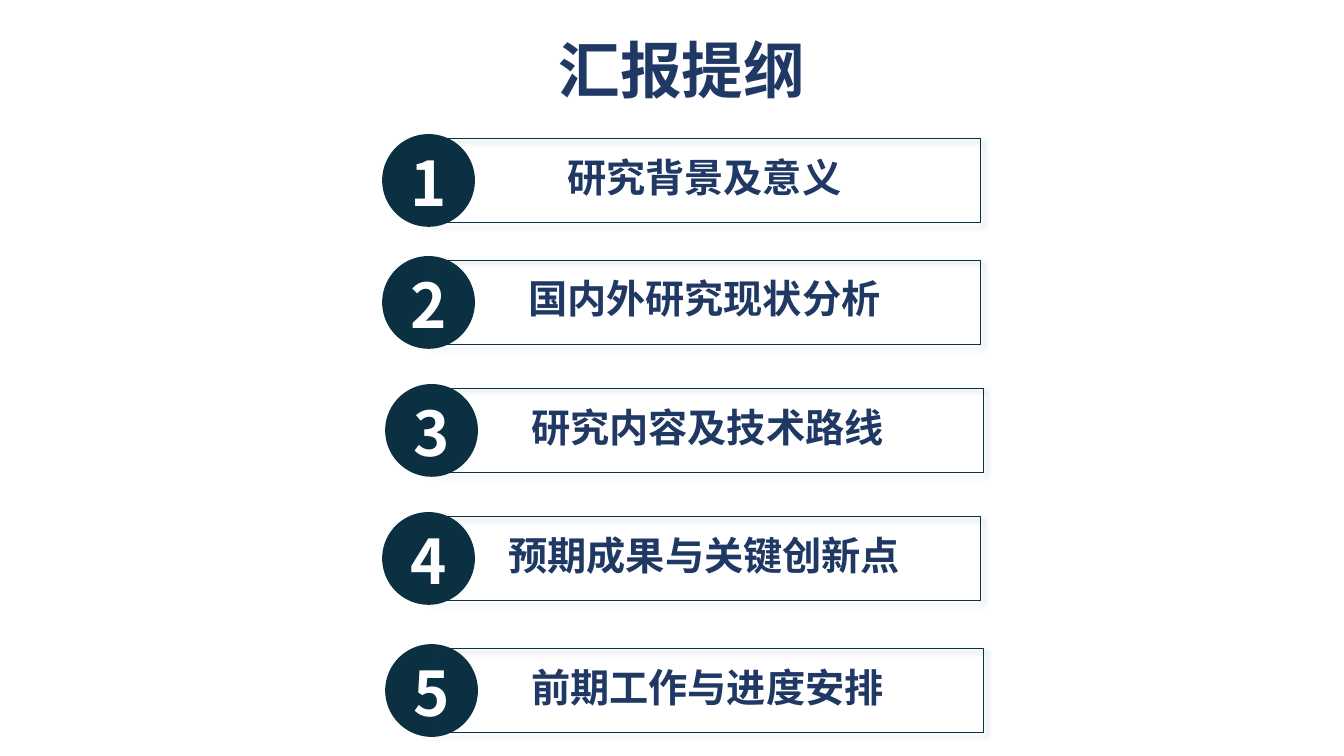
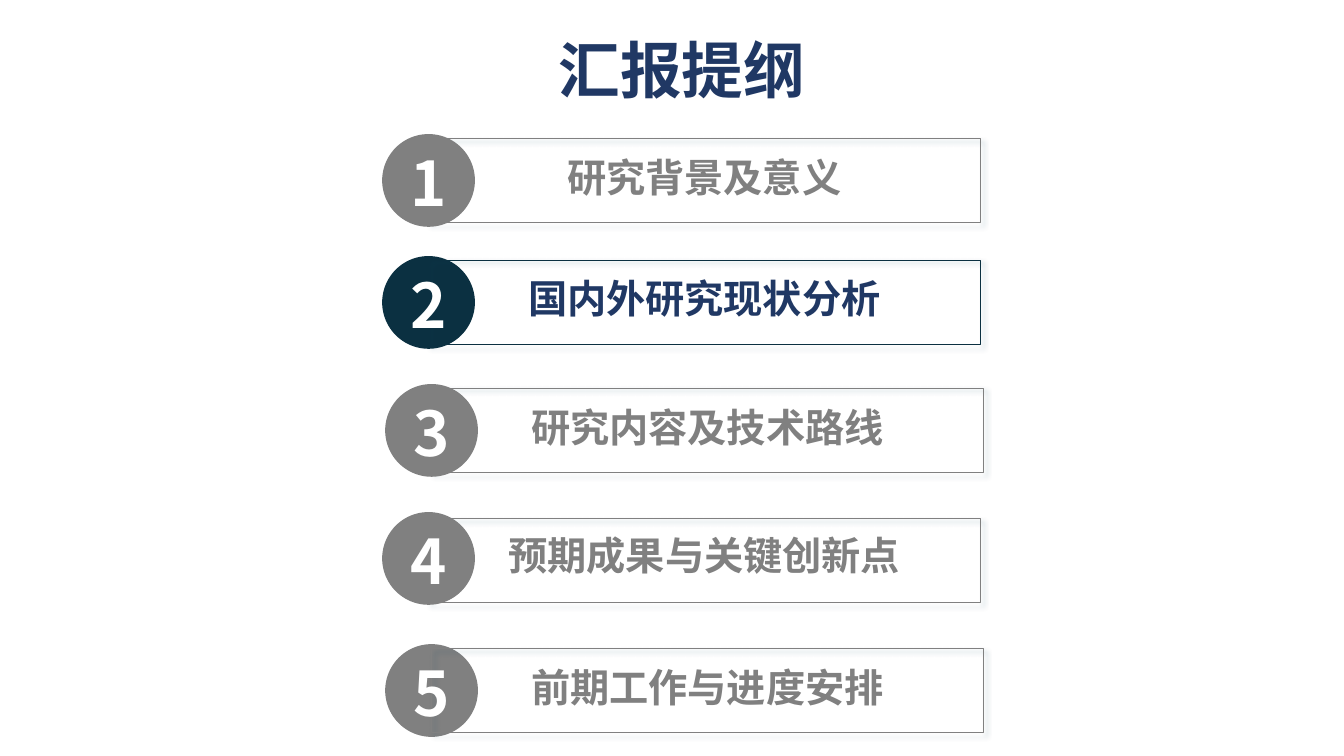
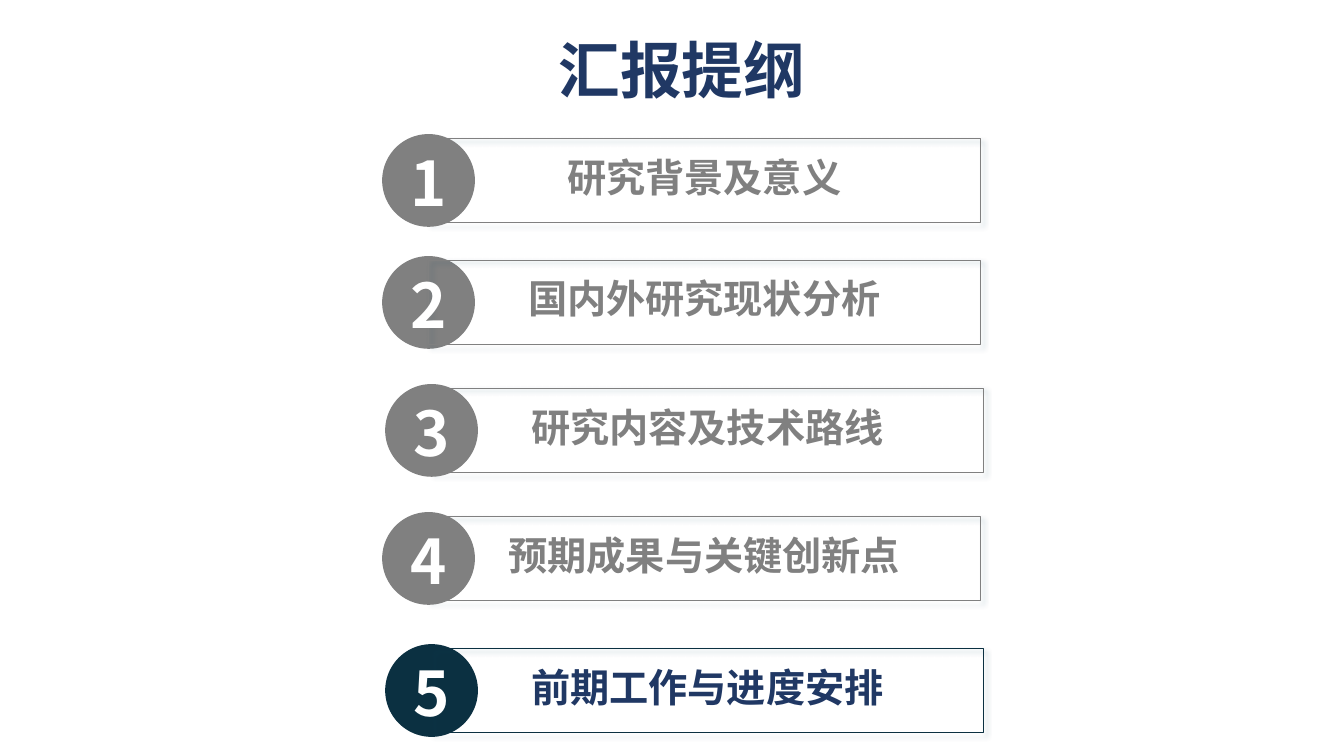
"""Build the report outline slide and its two section markers."""
from dataclasses import dataclass

from lxml.etree import SubElement
from pptx import Presentation
from pptx.dml.color import RGBColor as RGB
from pptx.enum.shapes import MSO_SHAPE as SHAPE
from pptx.enum.text import MSO_AUTO_SIZE as AUTO, PP_ALIGN as ALIGN
from pptx.oxml.ns import qn
from pptx.util import Inches, Pt


@dataclass(frozen=True)
class Theme:
    font: str = "Noto Sans CJK SC"
    navy: RGB = RGB(0x20, 0x38, 0x64)
    teal: RGB = RGB(0x0B, 0x30, 0x41)
    gray: RGB = RGB(0x80, 0x80, 0x80)
    white: RGB = RGB(0xFF, 0xFF, 0xFF)
    shadow: str = "104862"
    large: Pt = Pt(44)
    medium: Pt = Pt(28)


T = Theme()
BAR_W, BAR_H, DISC, NUM_W = 5.47, 0.84, 0.92, 0.94

ROWS = [
    ("研究背景及意义", 4.25, 1.37, True),
    ("国内外研究现状分析", 4.25, 2.58, False),
    ("研究内容及技术路线", 4.28, 3.85, True),
    ("预期成果与关键创新点", 4.25, 5.12, True),
    ("前期工作与进度安排", 4.28, 6.43, False),
]
SLIDES = [
    ({1, 2, 3, 4, 5}, {}),
    ({2}, {4: 0.02}),
    ({5}, {}),
]


def add_text(s, text, box, size, color, align=ALIGN.CENTER, spacing=None, grow=True):
    tf = s.shapes.add_textbox(*map(Inches, box)).text_frame
    tf.word_wrap = True
    tf.auto_size = AUTO.SHAPE_TO_FIT_TEXT if grow else AUTO.NONE
    p = tf.paragraphs[0]
    p.text = text
    p.alignment = align
    p.line_spacing = spacing
    r = p.runs[0]
    r.font.name, r.font.size, r.font.bold = T.font, size, True
    r.font.color.rgb = color
    SubElement(r.font._element, qn("a:ea"), typeface=T.font)


def add_marker(s, kind, box, color):
    sp = s.shapes.add_shape(kind, *map(Inches, box))
    sp.shadow.inherit = False
    if kind == SHAPE.OVAL:
        sp.fill.solid()
        sp.fill.fore_color.rgb = color
        sp.line.fill.background()
        return
    sp.adjustments[0] = 0
    sp.fill.background()
    sp.line.color.rgb = color
    sp.line.width = Pt(0.5)
    effects = sp._element.spPr.find(qn("a:effectLst"))
    shadow = SubElement(effects, qn("a:outerShdw"), blurRad=str(Pt(4)), dist=str(Pt(3)),
                        dir="2700000", algn="tl", rotWithShape="0")
    tint = SubElement(shadow, qn("a:srgbClr"), val=T.shadow)
    SubElement(tint, qn("a:alpha"), val="40000")


prs = Presentation()
prs.slide_width, prs.slide_height = Inches(13.33), Inches(7.5)

for active, nudges in SLIDES:
    s = prs.slides.add_slide(prs.slide_layouts[6])
    add_text(s, "汇报提纲", (5.44, 0.27, 3.23, 0.84), T.large, T.navy, ALIGN.JUSTIFY)
    for n, (label, x, y, disc_on_top) in enumerate(ROWS, 1):
        accent, ink = (T.teal, T.navy) if n in active else (T.gray, T.gray)
        bar = (SHAPE.ROUNDED_RECTANGLE, (x, y + nudges.get(n, 0), BAR_W, BAR_H))
        disc = (SHAPE.OVAL, (x - DISC / 2, y - 0.04, DISC, DISC))
        for kind, box in (bar, disc) if disc_on_top else (disc, bar):
            add_marker(s, kind, box, accent)
        add_text(s, label, (x, y + 0.15, BAR_W, 0.57), T.medium, ink, spacing=0.9, grow=False)
        add_text(s, str(n), (x - NUM_W / 2, y + 0.02, NUM_W, 0.84), T.large, T.white)

prs.save("out.pptx")
